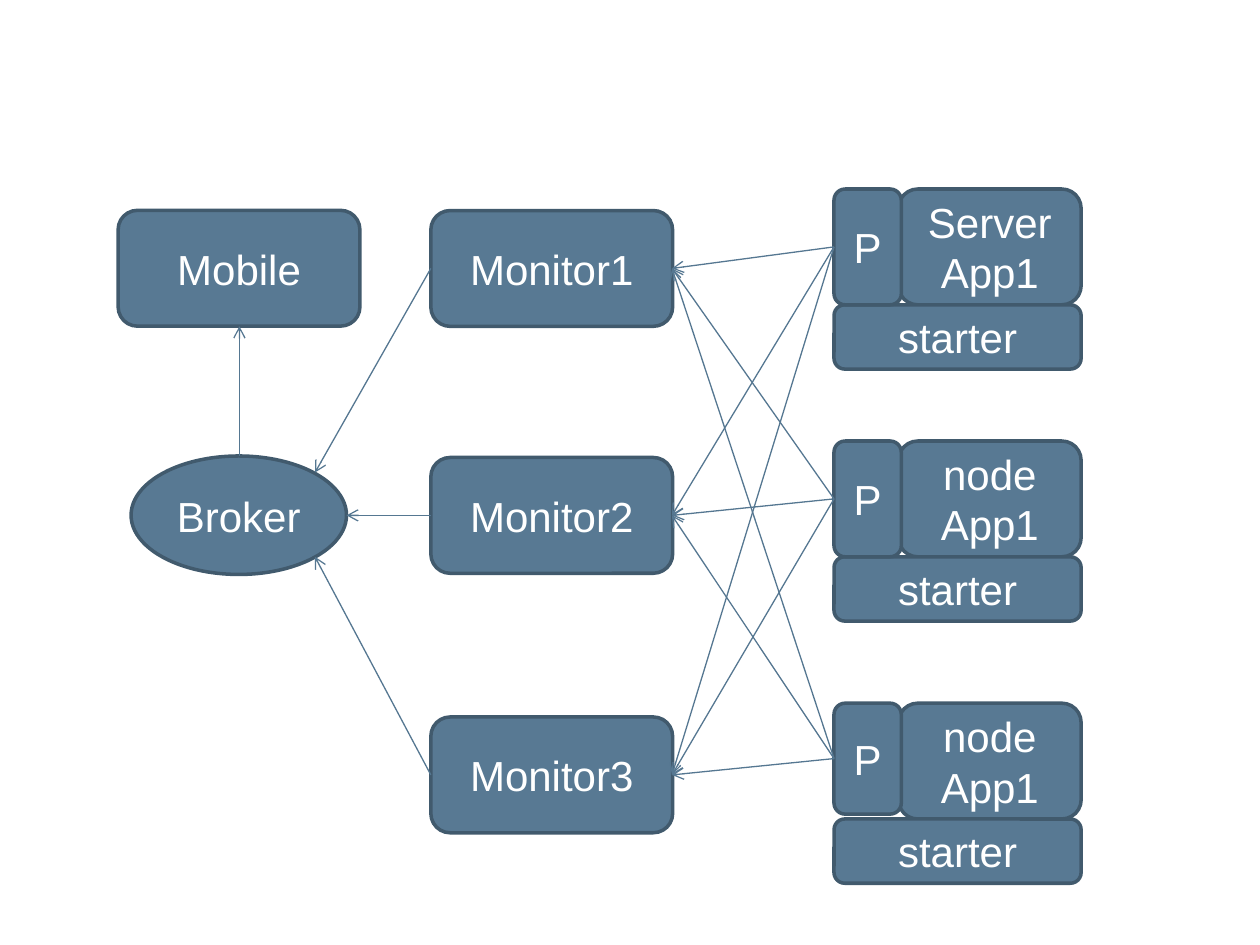
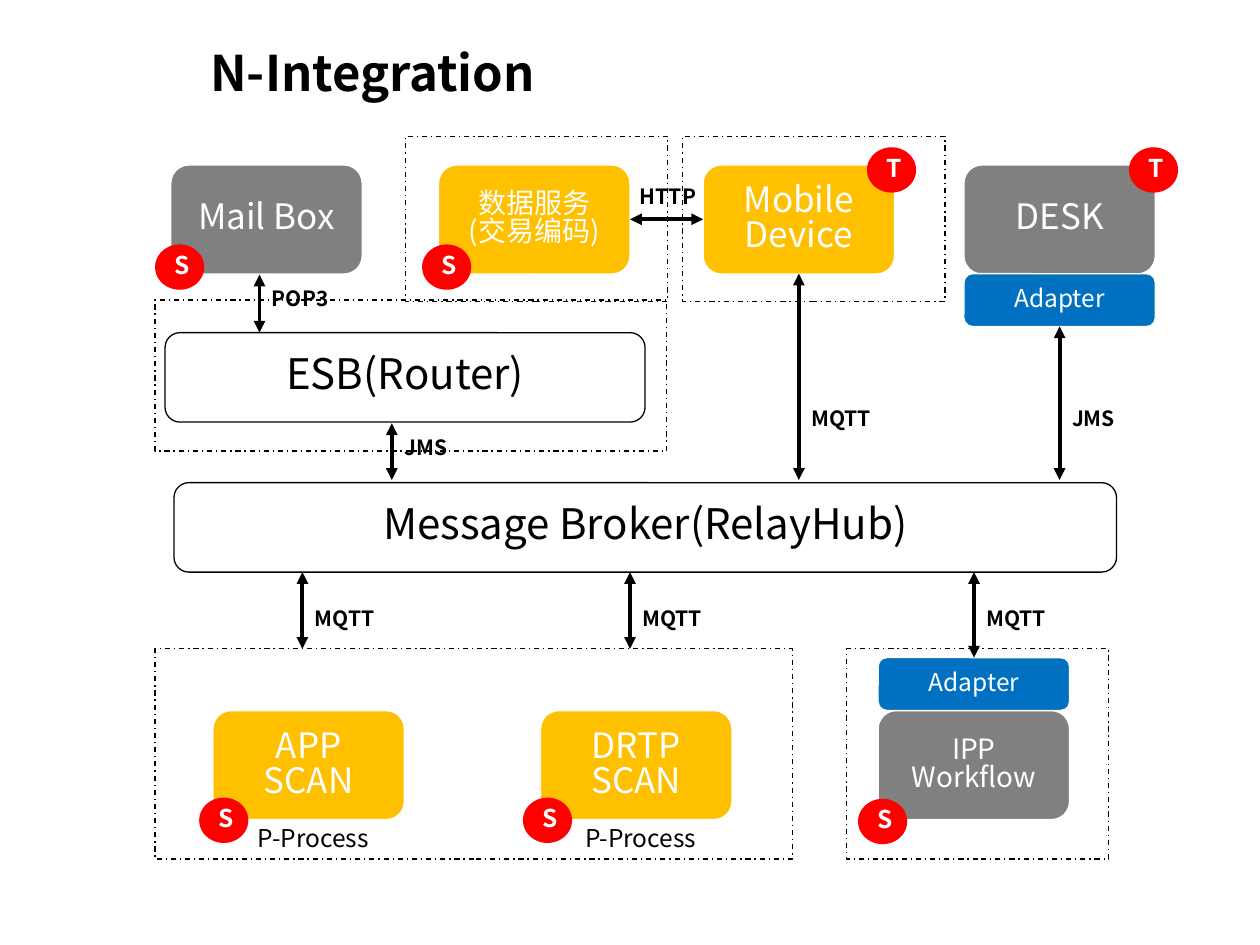
from lxml.etree import SubElement
from pptx import Presentation
from pptx.dml.color import RGBColor
from pptx.enum.dml import MSO_LINE
from pptx.enum.shapes import MSO_CONNECTOR, MSO_SHAPE
from pptx.enum.text import MSO_ANCHOR, PP_ALIGN
from pptx.oxml.ns import qn
from pptx.util import Pt

WHITE = RGBColor(0xFF, 0xFF, 0xFF)
BLACK = RGBColor(0x00, 0x00, 0x00)
STEEL = RGBColor(0x58, 0x79, 0x93)
STEEL_EDGE = RGBColor(0x41, 0x5A, 0x6D)
STEEL_LINE = RGBColor(0x55, 0x77, 0x91)
AMBER = RGBColor(0xFF, 0xC0, 0x00)
GRAY = RGBColor(0x80, 0x80, 0x80)
BLUE = RGBColor(0x00, 0x70, 0xC0)
RED = RGBColor(0xFF, 0x00, 0x00)

ARIAL, NOTO = "Arial", "Noto Sans CJK SC"
ROUND, OVAL, RECT = MSO_SHAPE.ROUNDED_RECTANGLE, MSO_SHAPE.OVAL, MSO_SHAPE.RECTANGLE


def add_box(s, kind, x, y, w, h, text="", size=14, font=NOTO, color=WHITE,
            fill=None, line=None, weight=0.75, bold=False, align=PP_ALIGN.CENTER):
    """Add a preset shape, or a plain text box when kind is None."""
    if kind is None:
        sp = s.shapes.add_textbox(Pt(x), Pt(y), Pt(w), Pt(h))
    else:
        sp = s.shapes.add_shape(kind, Pt(x), Pt(y), Pt(w), Pt(h))
        sp.shadow.inherit = False
        sp.text_frame.vertical_anchor = MSO_ANCHOR.MIDDLE
        if fill is None:
            sp.fill.background()
        else:
            sp.fill.solid()
            sp.fill.fore_color.rgb = fill
        if line is None:
            sp.line.fill.background()
        else:
            sp.line.color.rgb = line
            sp.line.width = Pt(weight)
    if text:
        tf = sp.text_frame
        tf.word_wrap = True
        tf.text = text
        for p in tf.paragraphs:
            p.alignment = align
            p.font.size = Pt(size)
            p.font.bold = bold
            p.font.color.rgb = color
            p.font.name = font
            if font == NOTO:
                p.line_spacing = 0.83
                SubElement(p._p.pPr.find(qn("a:defRPr")), qn("a:ea"), typeface=font)
    return sp


def add_arrow(s, x1, y1, x2, y2, color, weight, **ends):
    """Add a straight line; ends gives headEnd and tailEnd arrow types."""
    c = s.shapes.add_connector(MSO_CONNECTOR.STRAIGHT, Pt(x1), Pt(y1), Pt(x2), Pt(y2))
    c.line.color.rgb = color
    c.line.width = Pt(weight)
    ln = c.line._get_or_add_ln()
    for end, kind in ends.items():
        SubElement(ln, qn(f"a:{end}"), type=kind)
    SubElement(c._element.spPr, qn("a:effectLst"))


prs = Presentation()
prs.slide_width, prs.slide_height = Pt(720), Pt(540)
blank = prs.slide_layouts[6]

# Slide 1: monitors between the broker and the applications
s = prs.slides.add_slide(blank)
node = dict(size=24, font=ARIAL, fill=STEEL, line=STEEL_EDGE, weight=2)
thin = dict(color=STEEL_LINE, weight=0.75, tailEnd="arrow")

add_box(s, ROUND, 67.5, 120.2, 138.2, 66.2, "Mobile", **node)
add_box(s, OVAL, 74.9, 260.6, 123.1, 67.7, "Broker", **node)
add_arrow(s, 136.8, 260.6, 136.8, 186.5, **thin)

# Monitors, each with an arrow to its point on the broker
monitor_mids = [153.4, 294.5, 442.8]
broker_ends = [(180, 270), (198, 294.5), (180, 318.2)]
for i, (mid, end) in enumerate(zip(monitor_mids, broker_ends), 1):
    add_box(s, ROUND, 246.2, mid - 33.1, 138.2, 66.2, f"Monitor{i}", **node)
    add_arrow(s, 246.2, mid, *end, **thin)

# Applications with starter and P, each reporting to every monitor
apps = [("Server App1", 108, 66.2), ("node App1", 252, 66.2), ("node App1", 401.8, 63.4)]
for name, top, p_height in apps:
    add_box(s, ROUND, 513.4, top, 104.4, 66.2, name, **node)
    add_box(s, ROUND, 476.6, top + 66.2, 141.2, 36.7, "starter", **node)
    add_box(s, ROUND, 476.6, top, 38.5, p_height, "P", **node)
    for mid in monitor_mids:
        add_arrow(s, 476.6, top + p_height / 2, 384, mid, **thin)

# Slide 2: integration overview
s = prs.slides.add_slide(blank)
title = add_box(s, None, 120.2, 30.2, 504, 42.5, "N-Integration", 28, color=BLACK,
                bold=True, align=PP_ALIGN.LEFT)
tf = title.text_frame
tf.margin_left = tf.margin_right = tf.margin_top = tf.margin_bottom = 0

# Dash-dot group frames
for frame in [(88.6, 370.8, 364.3, 120.2), (88.6, 171.4, 292.3, 86.4),
              (231.8, 77.8, 149.8, 94.3), (483.8, 370.8, 149.8, 120.2),
              (390.2, 77.8, 149.8, 94.3)]:
    sp = add_box(s, RECT, *frame, line=BLACK)
    sp.line.dash_style = MSO_LINE.DASH_DOT

# Message buses
add_box(s, ROUND, 99.4, 275.8, 538.6, 51.1, "Message Broker(RelayHub)", 24,
        color=BLACK, line=BLACK)
add_box(s, ROUND, 94.3, 190.1, 274.3, 51.1, "ESB(Router)", 24, color=BLACK, line=BLACK)

# Systems in an upper and a lower row
UPPER, LOWER = 94.3, 406.1
for x, y, text, size, fill in [
    (97.6, UPPER, "Mail Box", 20, GRAY),
    (250.6, UPPER, "数据服务\n(交易编码)", 16, AMBER),
    (401.8, UPPER, "Mobile\nDevice", 20, AMBER),
    (550.8, UPPER, "DESK", 20, GRAY),
    (121.7, LOWER, "APP SCAN", 20, AMBER),
    (308.9, LOWER, "DRTP SCAN", 20, AMBER),
    (501.8, LOWER, "IPP\nWorkflow", 16, GRAY),
]:
    add_box(s, ROUND, x, y, 109.4, 62.3, text, size, fill=fill, line=WHITE)
for x, y in [(550.8, 156.4), (501.8, 375.8)]:
    add_box(s, ROUND, x, y, 109.4, 30.2, "Adapter", fill=BLUE, line=WHITE)
for x in (105.1, 292.3):
    add_box(s, None, x, 469.4, 147.6, 24.5, "P-Process", color=BLACK)

# Two-way links, each labelled to the right of its line
thick = dict(color=BLACK, weight=2.25, headEnd="triangle", tailEnd="triangle")
label = dict(size=12, color=BLACK, bold=True, align=PP_ALIGN.LEFT)
for x, y1, y2, text, label_y in [
    (148.3, 157, 190.1, "POP3", 162),
    (223.9, 241.9, 274.3, "JMS", 247),
    (456.5, 156.4, 274.3, "MQTT", 230.4),
    (605.5, 186.5, 274.3, "JMS", 230.4),
    (172.8, 326.9, 370.8, "MQTT", 344.9),
    (360, 326.9, 370.8, "MQTT", 344.9),
    (556.6, 326.9, 375.8, "MQTT", 344.9),
]:
    add_arrow(s, x, y1, x, y2, **thick)
    add_box(s, None, x, label_y, 56.9, 21.6, text, **label)
add_arrow(s, 360, 125.3, 401.8, 125.3, **thick)
add_box(s, None, 358.6, 103.7, 56.9, 21.6, "HTTP", **label)

# Round S and T badges
for x, y, letter in [
    (88.6, 139.7, "S"), (241.2, 139.7, "S"), (495.4, 84.2, "T"), (645.1, 84.2, "T"),
    (113.8, 455.8, "S"), (298.8, 455.8, "S"), (490.3, 456.5, "S"),
]:
    add_box(s, OVAL, x, y, 28.1, 25.9, letter, fill=RED, bold=True)

prs.save("out.pptx")
